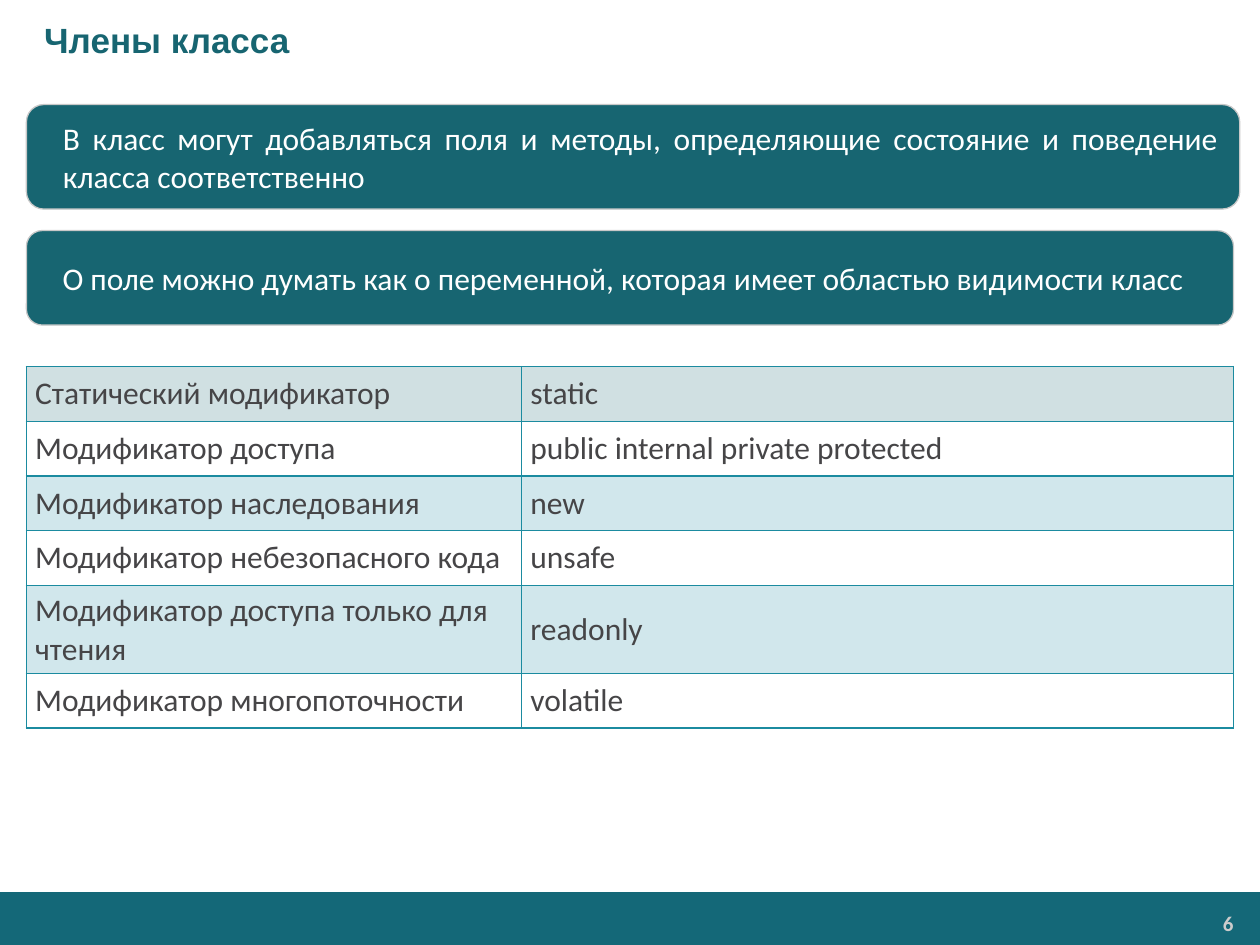
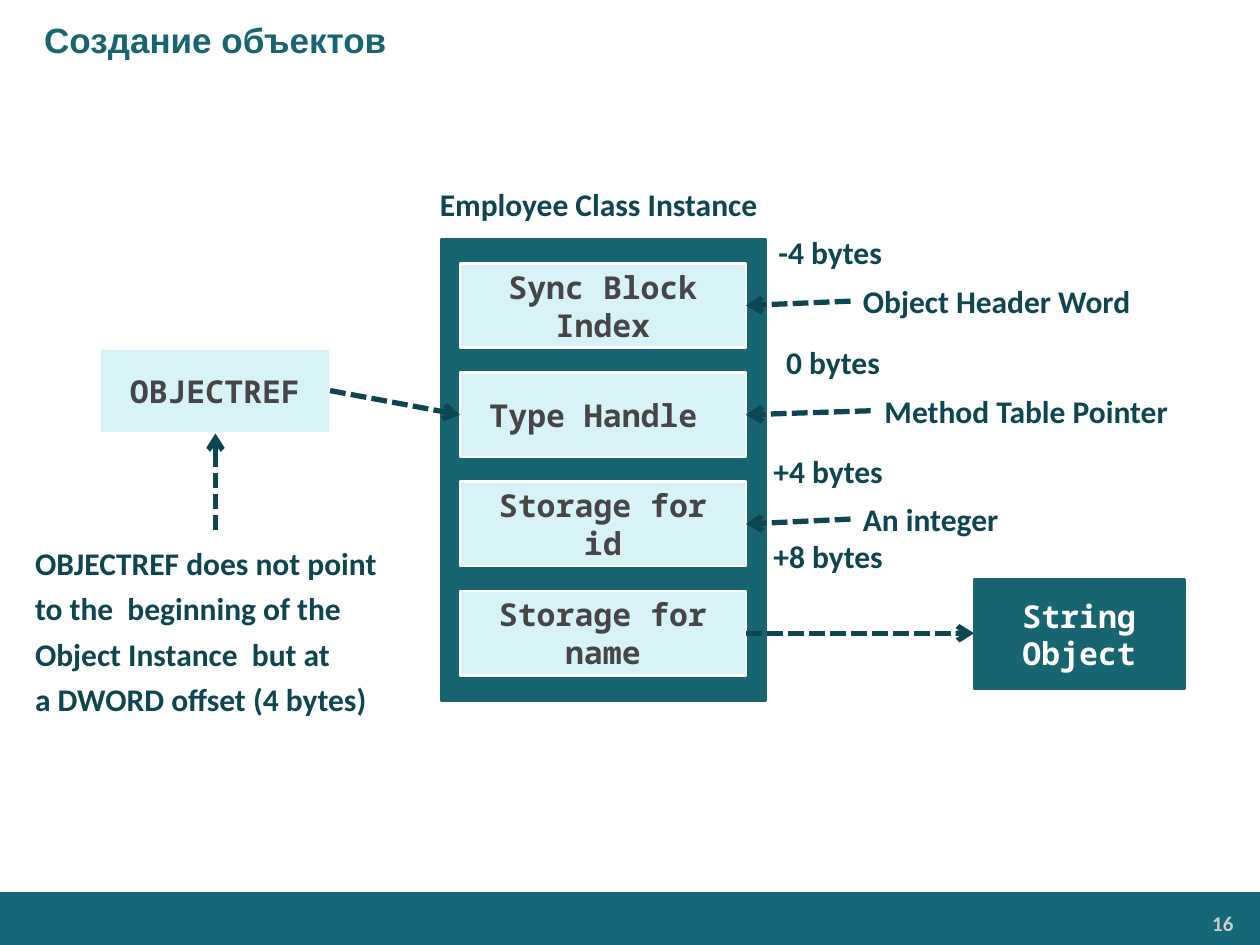
import dataclasses
import typing

import lxml.etree
import pptx
import pptx.dml.color
import pptx.enum.shapes
import pptx.enum.text
import pptx.oxml.ns
import pptx.presentation
import pptx.shapes.base
import pptx.slide
import pptx.text.text
import pptx.util

SLIDE_WIDTH = pptx.util.Inches(10)
SLIDE_HEIGHT = pptx.util.Inches(7.5)
COLUMN = SLIDE_WIDTH / 100
ROW = SLIDE_HEIGHT / 75

COLORS = {
    "band": "146878", "number": "CCCCCC", "teal": "176571", "outline": "C8C8C8",
    "border": "1B8BA0", "text": "464547", "white": "FFFFFF", "pale": "D7F3F7",
    "dark": "0D4650",
}
ALIGN = pptx.enum.text.PP_ALIGN
ANCHOR = pptx.enum.text.MSO_ANCHOR
SHAPE = pptx.enum.shapes.MSO_SHAPE


@dataclasses.dataclass(frozen=True)
class Area:
    column: float
    row: float
    columns: float
    rows: float

    def lengths(self) -> tuple[int, int, int, int]:
        return (round(self.column * COLUMN), round(self.row * ROW),
                round(self.columns * COLUMN), round(self.rows * ROW))


@dataclasses.dataclass(frozen=True)
class TextStyle:
    color: str
    font: str = "Calibri"
    size: float = 18
    bold: bool = False
    align: ALIGN = ALIGN.LEFT
    indent: float = 0
    line_spacing: typing.Optional[float] = None
    space_after: float = 0


@dataclasses.dataclass(frozen=True)
class BoxStyle:
    fill: str
    line: typing.Optional[str] = None
    line_width: float = 1.5
    preset: SHAPE = SHAPE.RECTANGLE
    margins: tuple[float, float] = (0.1, 0.05)


@dataclasses.dataclass(frozen=True)
class Label:
    text: str
    area: Area
    align: ALIGN = ALIGN.LEFT


@dataclasses.dataclass(frozen=True)
class Arrow:
    start: tuple[float, float]
    end: tuple[float, float]


TITLE_TEXT = TextStyle("teal", "Arial", 20, True, indent=0.25)
NUMBER_TEXT = TextStyle("number", size=12, bold=True, align=ALIGN.RIGHT)
STATEMENT_TEXT = TextStyle("white", align=ALIGN.JUSTIFY, indent=0.12)
CELL_TEXT = TextStyle("text")
LABEL_TEXT = TextStyle("dark", bold=True)
NOTE_TEXT = dataclasses.replace(LABEL_TEXT, line_spacing=1.2)
SLOT_TEXT = TextStyle("text", "Noto Sans Mono", bold=True, align=ALIGN.CENTER)
STRING_TEXT = dataclasses.replace(SLOT_TEXT, color="white", space_after=10)

BAND_BOX = BoxStyle("band")
STATEMENT_BOX = BoxStyle("teal", "outline", 0.75, SHAPE.ROUNDED_RECTANGLE, (0.13, 0.06))
TEAL_BOX = BoxStyle("teal", "teal")
SLOT_BOX = BoxStyle("pale", "white")

STATEMENTS = (
    ("В класс могут добавляться поля и методы, определяющие состояние и поведение "
     "класса соответственно", Area(2.1, 8.3, 96.3, 8.3)),
    ("О поле можно думать как о переменной, которая имеет областью видимости класс",
     Area(2.1, 18.3, 95.8, 7.5)),
)
MODIFIERS = (
    ("Статический модификатор", "static"),
    ("Модификатор доступа", "public internal private protected"),
    ("Модификатор наследования", "new"),
    ("Модификатор небезопасного кода", "unsafe"),
    ("Модификатор доступа только для чтения", "readonly"),
    ("Модификатор многопоточности", "volatile"),
)
MODIFIER_COLUMNS = (39.3, 56.5)
MODIFIER_ROWS = 4.34

SLOTS = ("Sync Block Index", "Type Handle ", "Storage for id", "Storage for name")
SLOT_AREA = Area(36.5, 20.9, 22.7, 6.7)
SLOT_STEP = 8.67
MEANINGS = (
    Label("Object Header Word", Area(67.5, 21.9, 24, 4)),
    Label("Method Table Pointer", Area(69.1, 30.6, 24.7, 4), ALIGN.CENTER),
    Label("An integer", Area(67.5, 39.2, 12.8, 4)),
)
LABELS = (
    Label("Employee Class Instance ", Area(33.8, 14.2, 28, 4), ALIGN.CENTER),
    Label("-4 bytes", Area(60.8, 18, 10.9, 4)),
    Label("0 bytes", Area(61.4, 26.7, 10.1, 4)),
    Label("+4 bytes", Area(60.4, 35.4, 11.4, 4)),
    Label("+8 bytes", Area(60.4, 42.1, 11.4, 4)),
) + MEANINGS
NOTE = ("OBJECTREF does not point", "to the  beginning of the",
        "Object Instance  but at", "a DWORD offset (4 bytes)")


def rgb(name: str) -> pptx.dml.color.RGBColor:
    return pptx.dml.color.RGBColor.from_string(COLORS[name])


def add_element(parent: typing.Any, tag: str, **attributes: str) -> typing.Any:
    return lxml.etree.SubElement(parent, pptx.oxml.ns.qn(tag), attributes)


def write_text(frame: pptx.text.text.TextFrame, lines: typing.Sequence[str],
               style: TextStyle) -> None:
    frame.text = "\n".join(lines)
    for paragraph in frame.paragraphs:
        paragraph.alignment = style.align
        if style.indent:
            properties = paragraph._p.get_or_add_pPr()
            properties.set("marL", str(pptx.util.Inches(style.indent)))
            properties.set("indent", "0")
        if style.line_spacing:
            paragraph.line_spacing = style.line_spacing
        if style.space_after:
            paragraph.space_after = pptx.util.Pt(style.space_after)
        paragraph.font.name = style.font
        paragraph.font.size = pptx.util.Pt(style.size)
        paragraph.font.bold = style.bold
        paragraph.font.color.rgb = rgb(style.color)


def set_margins(target: typing.Any, horizontal: float, vertical: float) -> None:
    target.margin_left = target.margin_right = pptx.util.Inches(horizontal)
    target.margin_top = target.margin_bottom = pptx.util.Inches(vertical)


def add_box(slide: pptx.slide.Slide, area: Area, box: BoxStyle, text: str = "",
            style: typing.Optional[TextStyle] = None) -> None:
    shape = slide.shapes.add_shape(box.preset, *area.lengths())
    shape.shadow.inherit = False
    shape.fill.solid()
    shape.fill.fore_color.rgb = rgb(box.fill)
    if box.line:
        shape.line.color.rgb = rgb(box.line)
        shape.line.width = pptx.util.Pt(box.line_width)
    else:
        shape.line.fill.background()
    if style:
        frame = shape.text_frame
        frame.word_wrap = True
        frame.vertical_anchor = ANCHOR.MIDDLE
        set_margins(frame, *box.margins)
        write_text(frame, [text], style)


def add_text(slide: pptx.slide.Slide, area: Area, lines: typing.Sequence[str],
             style: TextStyle, wrap: bool = True,
             margins: tuple[float, float] = (0.1, 0.05)) -> None:
    frame = slide.shapes.add_textbox(*area.lengths()).text_frame
    frame.word_wrap = wrap
    frame.auto_size = pptx.enum.text.MSO_AUTO_SIZE.SHAPE_TO_FIT_TEXT
    set_margins(frame, *margins)
    write_text(frame, lines, style)


def add_arrow(slide: pptx.slide.Slide, arrow: Arrow) -> None:
    (start_column, start_row), (end_column, end_row) = arrow.start, arrow.end
    connector = slide.shapes.add_connector(
        pptx.enum.shapes.MSO_CONNECTOR.STRAIGHT,
        round(start_column * COLUMN), round(start_row * ROW),
        round(end_column * COLUMN), round(end_row * ROW))
    connector.line.color.rgb = rgb("dark")
    connector.line.width = pptx.util.Pt(3)
    line = connector.line._get_or_add_ln()
    add_element(line, "a:prstDash", val="sysDash")
    add_element(line, "a:tailEnd", type="arrow")
    add_element(connector._element.spPr, "a:effectLst")


def add_borders(cell: typing.Any) -> None:
    properties = cell._tc.get_or_add_tcPr()
    for position, side in enumerate(("a:lnL", "a:lnR", "a:lnT", "a:lnB")):
        border = add_element(properties, side, w=str(pptx.util.Pt(1)))
        fill = add_element(border, "a:solidFill")
        add_element(fill, "a:srgbClr", val=COLORS["border"])
        properties.insert(position, border)


def fill_cell(cell: typing.Any, row_index: int) -> None:
    if row_index % 2:
        cell.fill.background()
        return
    cell.fill.solid()
    cell.fill.fore_color.rgb = rgb("border" if row_index else "teal")
    color = cell._tc.tcPr.find(".//" + pptx.oxml.ns.qn("a:srgbClr"))
    add_element(color, "a:alpha", val="20000")


def add_modifier_table(slide: pptx.slide.Slide) -> None:
    area = Area(2.1, 29.1, sum(MODIFIER_COLUMNS), MODIFIER_ROWS * len(MODIFIERS))
    table = slide.shapes.add_table(
        len(MODIFIERS), len(MODIFIER_COLUMNS), *area.lengths()).table
    table.first_row = False
    table.horz_banding = False
    for column, columns in zip(table.columns, MODIFIER_COLUMNS):
        column.width = round(columns * COLUMN)
    for row_index, texts in enumerate(MODIFIERS):
        for column_index, text in enumerate(texts):
            cell = table.cell(row_index, column_index)
            cell.vertical_anchor = ANCHOR.MIDDLE
            set_margins(cell, 0.07, 0.05)
            write_text(cell.text_frame, [text], CELL_TEXT)
            fill_cell(cell, row_index)
            add_borders(cell)


def add_slide(presentation: pptx.presentation.Presentation, title: str,
              number: int) -> pptx.slide.Slide:
    slide = presentation.slides.add_slide(
        presentation.slide_layouts.get_by_name("Title Only"))
    add_box(slide, Area(0, 70.8, 100, 4.2), BAND_BOX)
    add_text(slide, Area(82.3, 71.9, 16.3, 2.8), [str(number)], NUMBER_TEXT,
             margins=(0.07, 0.04))
    shape = slide.shapes.title
    shape.left, shape.top, shape.width, shape.height = Area(0, 0, 100, 6.3).lengths()
    shape.text_frame.vertical_anchor = ANCHOR.MIDDLE
    shape.text_frame.auto_size = pptx.enum.text.MSO_AUTO_SIZE.NONE
    write_text(shape.text_frame, [title], TITLE_TEXT)
    return slide


def build_members(presentation: pptx.presentation.Presentation) -> None:
    slide = add_slide(presentation, "Члены класса", 6)
    for text, area in STATEMENTS:
        add_box(slide, area, STATEMENT_BOX, text, STATEMENT_TEXT)
    add_modifier_table(slide)


def build_object_creation(presentation: pptx.presentation.Presentation) -> None:
    slide = add_slide(presentation, "Создание объектов", 16)
    add_box(slide, Area(35, 19, 25.8, 36.6), TEAL_BOX)
    slots = [dataclasses.replace(SLOT_AREA, row=SLOT_AREA.row + index * SLOT_STEP)
             for index in range(len(SLOTS))]
    for text, area in zip(SLOTS, slots):
        add_box(slide, area, SLOT_BOX, text, SLOT_TEXT)
    add_box(slide, Area(7.9, 27.7, 18.3, 6.7), SLOT_BOX, "OBJECTREF", SLOT_TEXT)
    add_box(slide, Area(77.3, 46, 16.7, 8.7), TEAL_BOX, "String Object", STRING_TEXT)
    for label in LABELS:
        style = dataclasses.replace(LABEL_TEXT, align=label.align)
        add_text(slide, label.area, [label.text], style, wrap=False)
    add_text(slide, Area(1.8, 42.1, 30.6, 15.6), NOTE, NOTE_TEXT)

    slot_right = SLOT_AREA.column + SLOT_AREA.columns
    middles = [area.row + area.rows / 2 for area in slots]
    for label, middle in zip(MEANINGS, middles):
        start = (label.area.column, label.area.row + label.area.rows / 2)
        add_arrow(slide, Arrow(start, (slot_right, middle)))
    add_arrow(slide, Arrow((26.2, 31), (SLOT_AREA.column, middles[1])))
    add_arrow(slide, Arrow((slot_right, middles[3]), (77.3, middles[3])))
    add_arrow(slide, Arrow((17.1, 42.1), (17.1, 34.4)))


def main() -> None:
    presentation = pptx.Presentation()
    presentation.slide_width = SLIDE_WIDTH
    presentation.slide_height = SLIDE_HEIGHT
    build_members(presentation)
    build_object_creation(presentation)
    presentation.save("out.pptx")


if __name__ == "__main__":
    main()
